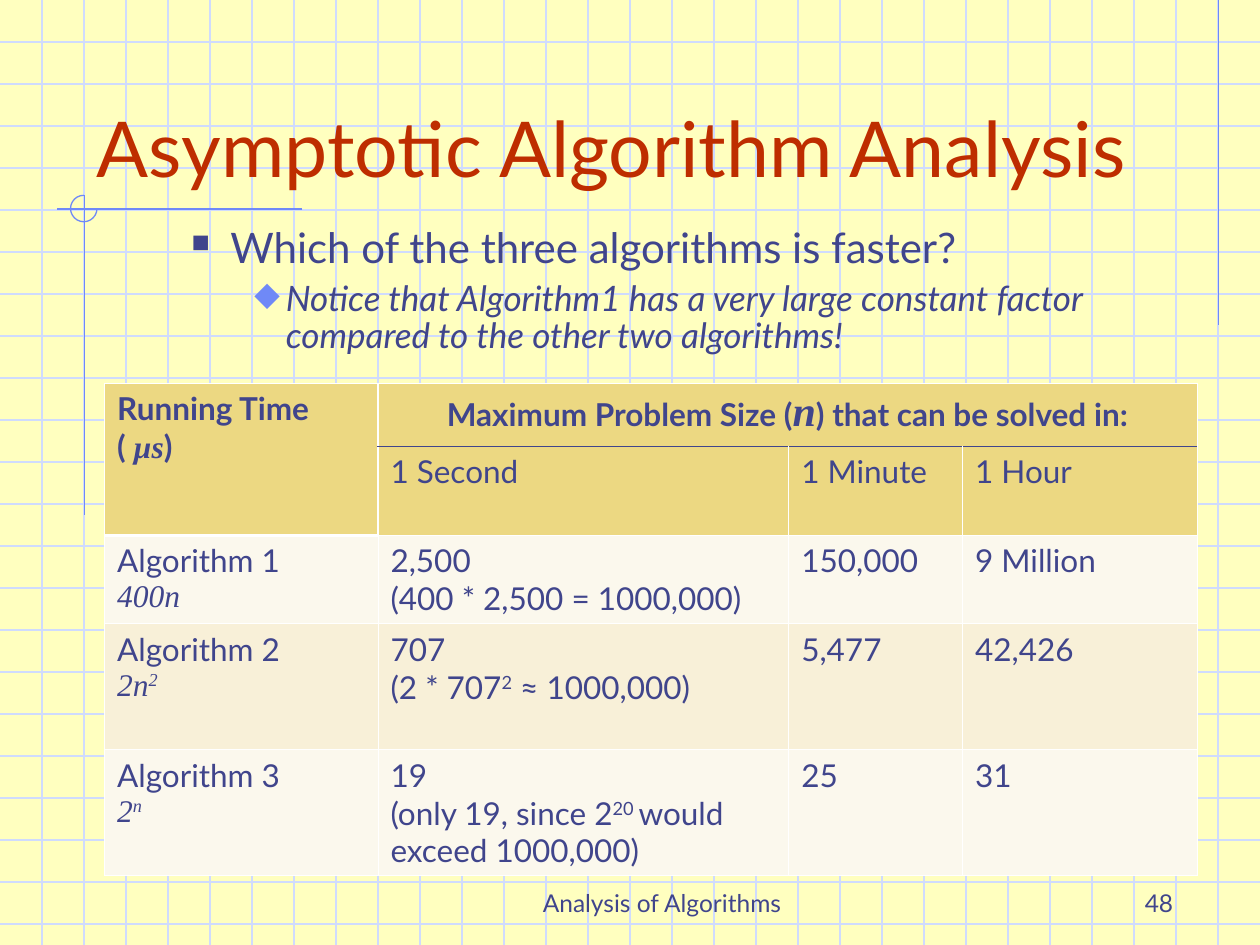
from dataclasses import dataclass
from typing import Any, NamedTuple

from lxml.etree import SubElement
from pptx import Presentation
from pptx.dml.color import RGBColor
from pptx.enum.shapes import MSO_CONNECTOR as Connector, MSO_SHAPE as Shape
from pptx.enum.text import MSO_ANCHOR as Anchor, PP_ALIGN as Align
from pptx.oxml.ns import qn
from pptx.util import Inches, Pt

PAPER = RGBColor(0xFF, 0xFF, 0xBF)
GRID = RGBColor(0xCF, 0xDB, 0xFD)
ACCENT = RGBColor(0x6F, 0x89, 0xF7)
INK = RGBColor(0x40, 0x45, 0x8C)
TITLE = RGBColor(0xBE, 0x2D, 0x00)
WHITE = RGBColor(0xFF, 0xFF, 0xFF)
HEADER = RGBColor(0xEC, 0xD8, 0x82)
BAND_LIGHT = RGBColor(0xFB, 0xF8, 0xED)
BAND_DARK = RGBColor(0xF8, 0xF0, 0xD8)

BODY_FORMAT = {"name": "Lato", "size": Pt(18), "bold": False, "italic": False}
MATH = {"name": "Times New Roman", "italic": True}
BOLD = {"bold": True}
BOLD_MATH = {**MATH, **BOLD}


class Piece(NamedTuple):
    text: str
    format: dict[str, Any] = {}
    raised: bool = False


class Border(NamedTuple):
    color: RGBColor
    width: float


class Bullet(NamedTuple):
    character: str
    color: RGBColor
    percent: int
    margin: float
    hanging: float


@dataclass
class Line:
    start: tuple[float, float]
    end: tuple[float, float]
    color: RGBColor


@dataclass
class TextBox:
    position: tuple[float, float, float, float]
    text: str
    size: int
    color: RGBColor = INK
    align: Align = Align.LEFT


@dataclass
class TableCell:
    row: int
    column: int
    pieces: list[Piece]
    align: Align = Align.LEFT


THIN = Border(WHITE, 0.45)
THICK = Border(WHITE, 1.47)
RULE = Border(INK, 0.45)
SQUARE = Bullet("■", INK, 60, 0.81, 0.31)
DIAMOND = Bullet("◆", ACCENT, 95, 1.25, 0.25)

GRID_LINES = [Line((0, step / 3), (10, step / 3), GRID) for step in range(1, 23)] + [
    Line((step / 3, 0), (step / 3, 7.5), GRID) for step in range(1, 30)
]
ACCENT_LINES = [
    Line((9.67, 0), (9.67, 2.58), ACCENT),
    Line((2.4, 1.66), (0.45, 1.66), ACCENT),
    Line((0.67, 1.55), (0.67, 4.09), ACCENT),
]
TEXT_BOXES = [
    TextBox((3.67, 6.83, 3.17, 0.5), "Analysis of Algorithms", 14, align=Align.CENTER),
    TextBox((7.33, 6.83, 2.08, 0.5), "48", 14, align=Align.RIGHT),
    TextBox((0.67, 0.33, 8.5, 1.25), "Asymptotic Algorithm Analysis", 44, TITLE),
]

COLUMN_WIDTHS = [2.17, 3.26, 1.38, 1.86]
ROW_HEIGHTS = [0.5, 0.71, 0.7, 1, 1]
ROW_FILLS = [HEADER, HEADER, BAND_LIGHT, BAND_DARK, BAND_LIGHT]
PLAIN_TEXTS = {
    1: {1: "1 Second", 2: "1 Minute", 3: "1 Hour"},
    2: {1: "2,500\n(400 * 2,500 = 1000,000)", 2: "150,000", 3: "9 Million"},
    3: {2: "5,477", 3: "42,426"},
    4: {2: "25", 3: "31"},
}
CELLS = [
    TableCell(0, 0, [Piece("Running Time \n( ", BOLD), Piece("µs", BOLD_MATH), Piece(")", BOLD)]),
    TableCell(0, 1, [
        Piece("Maximum Problem Size (", BOLD),
        Piece("n", {**BOLD_MATH, "size": Pt(24)}),
        Piece(") that can be solved in:", BOLD),
    ], Align.CENTER),
    TableCell(2, 0, [Piece("Algorithm 1\n"), Piece("400n", MATH)]),
    TableCell(3, 0, [Piece("Algorithm 2\n"), Piece("2n", MATH), Piece("2", MATH, True)]),
    TableCell(3, 1, [Piece("707\n(2 * 707"), Piece("2", raised=True), Piece(" ≈ 1000,000)")]),
    TableCell(4, 0, [Piece("Algorithm 3\n"), Piece("2", MATH), Piece("n", MATH, True)]),
    TableCell(4, 1, [
        Piece("19\n(only 19, since 2"), Piece("20 ", raised=True), Piece("would exceed 1000,000)"),
    ]),
] + [
    TableCell(row, column, [Piece(text)])
    for row, texts in PLAIN_TEXTS.items()
    for column, text in texts.items()
]


def add_piece(paragraph: Any, piece: Piece, color: RGBColor = INK) -> None:
    for index, text in enumerate(piece.text.split("\n")):
        if index:
            paragraph.add_line_break()
        if not text:
            continue
        run = paragraph.add_run()
        run.text = text
        for name, value in {**BODY_FORMAT, **piece.format}.items():
            setattr(run.font, name, value)
        run.font.color.rgb = color
        if piece.raised:
            run._r.get_or_add_rPr().set("baseline", "30000")


def add_line(slide: Any, line: Line) -> None:
    points = [Inches(value) for value in (*line.start, *line.end)]
    connector = slide.shapes.add_connector(Connector.STRAIGHT, *points)
    connector.line.color.rgb = line.color
    connector.line.width = Pt(0.75)
    SubElement(connector._element.spPr, qn("a:effectLst"))


def add_corner_arc(slide: Any) -> None:
    arc = slide.shapes.add_shape(Shape.ARC, *map(Inches, (0.56, 1.55, 0.21, 0.21)))
    arc.shadow.inherit = False
    arc.adjustments[0], arc.adjustments[1] = 0, 162
    arc.fill.background()
    arc.line.color.rgb = ACCENT
    arc.line.width = Pt(0.75)


def add_frame(slide: Any, position: tuple[float, float, float, float], anchor: Anchor) -> Any:
    frame = slide.shapes.add_textbox(*map(Inches, position)).text_frame
    frame.word_wrap = True
    frame.vertical_anchor = anchor
    return frame


def add_text_box(slide: Any, box: TextBox) -> None:
    paragraph = add_frame(slide, box.position, Anchor.BOTTOM).paragraphs[0]
    paragraph.alignment = box.align
    add_piece(paragraph, Piece(box.text, {"size": Pt(box.size)}), box.color)


def set_bullet(paragraph: Any, bullet: Bullet) -> None:
    properties = paragraph._p.get_or_add_pPr()
    properties.set("marL", str(Inches(bullet.margin)))
    properties.set("indent", str(-Inches(bullet.hanging)))
    color = SubElement(properties, qn("a:buClr"))
    SubElement(color, qn("a:srgbClr"), val=str(bullet.color))
    SubElement(properties, qn("a:buSzPct"), val=str(bullet.percent * 1000))
    SubElement(properties, qn("a:buChar"), char=bullet.character)


def add_question(slide: Any) -> None:
    frame = add_frame(slide, (0.92, 1.75, 8.58, 1.25), Anchor.TOP)
    question, notice = frame.paragraphs[0], frame.add_paragraph()
    set_bullet(question, SQUARE)
    set_bullet(notice, DIAMOND)
    question.line_spacing = notice.line_spacing = 0.9
    notice.level = 1
    notice.space_before = Pt(5)
    add_piece(question, Piece("Which of the three algorithms is faster?", {"size": Pt(24)}))
    add_piece(notice, Piece(
        "Notice that Algorithm1 has a very large constant factor "
        "compared to the other two algorithms!",
        {"size": Pt(20), "italic": True},
    ))


def set_border(cell: Any, side: str, border: Border) -> None:
    properties = cell._tc.get_or_add_tcPr()
    line = SubElement(properties, qn(f"a:ln{side}"), w=str(Pt(border.width)))
    fill = SubElement(line, qn("a:solidFill"))
    SubElement(fill, qn("a:srgbClr"), val=str(border.color))


def edge_border(row: int, column: int, side: str) -> Border:
    if (row, side) in ((0, "B"), (1, "T")) and column > 0:
        return RULE
    if row < 2 and (column, side) in ((0, "R"), (1, "L")):
        return THICK
    if column == 0 and (row, side) in ((1, "B"), (2, "T")):
        return THICK
    return THIN


def add_results_table(slide: Any) -> None:
    size = len(ROW_HEIGHTS), len(COLUMN_WIDTHS)
    table = slide.shapes.add_table(*size, *map(Inches, (0.83, 3.04, 8.67, 3.91))).table
    table.first_row = table.horz_banding = False
    for column, width in zip(table.columns, COLUMN_WIDTHS):
        column.width = Inches(width)
    for row_index, (row, height) in enumerate(zip(table.rows, ROW_HEIGHTS)):
        row.height = Inches(height)
        for column_index, cell in enumerate(row.cells):
            for side in "LRTB":
                set_border(cell, side, edge_border(row_index, column_index, side))
            cell.fill.solid()
            cell.fill.fore_color.rgb = ROW_FILLS[row_index]
    table.cell(0, 0).merge(table.cell(1, 0))
    table.cell(0, 1).merge(table.cell(0, 3))
    for entry in CELLS:
        paragraph = table.cell(entry.row, entry.column).text_frame.paragraphs[0]
        paragraph.alignment = entry.align
        for piece in entry.pieces:
            add_piece(paragraph, piece)


def main() -> None:
    presentation = Presentation()
    presentation.slide_width, presentation.slide_height = Inches(10), Inches(7.5)
    slide = presentation.slides.add_slide(presentation.slide_layouts[6])
    slide.background.fill.solid()
    slide.background.fill.fore_color.rgb = PAPER
    for line in GRID_LINES + ACCENT_LINES:
        add_line(slide, line)
    add_corner_arc(slide)
    for box in TEXT_BOXES:
        add_text_box(slide, box)
    add_question(slide)
    add_results_table(slide)
    presentation.save("out.pptx")


if __name__ == "__main__":
    main()
